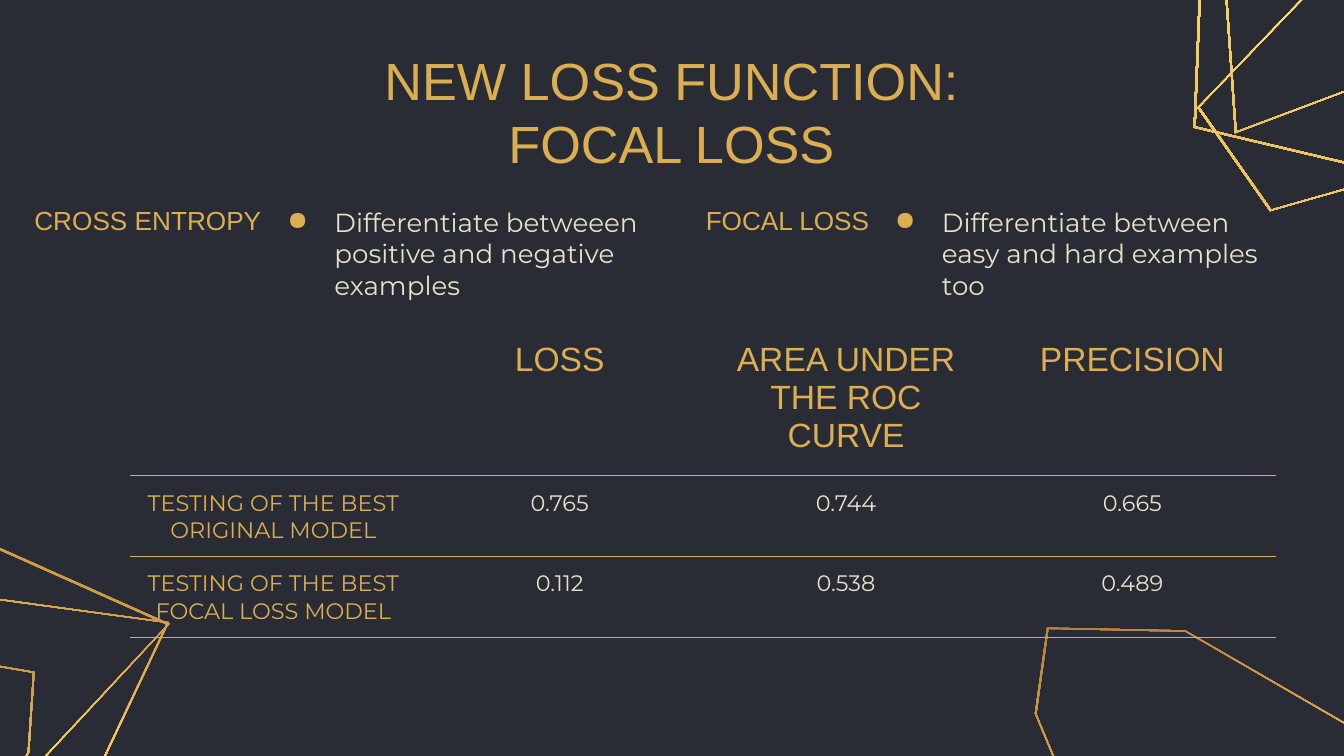
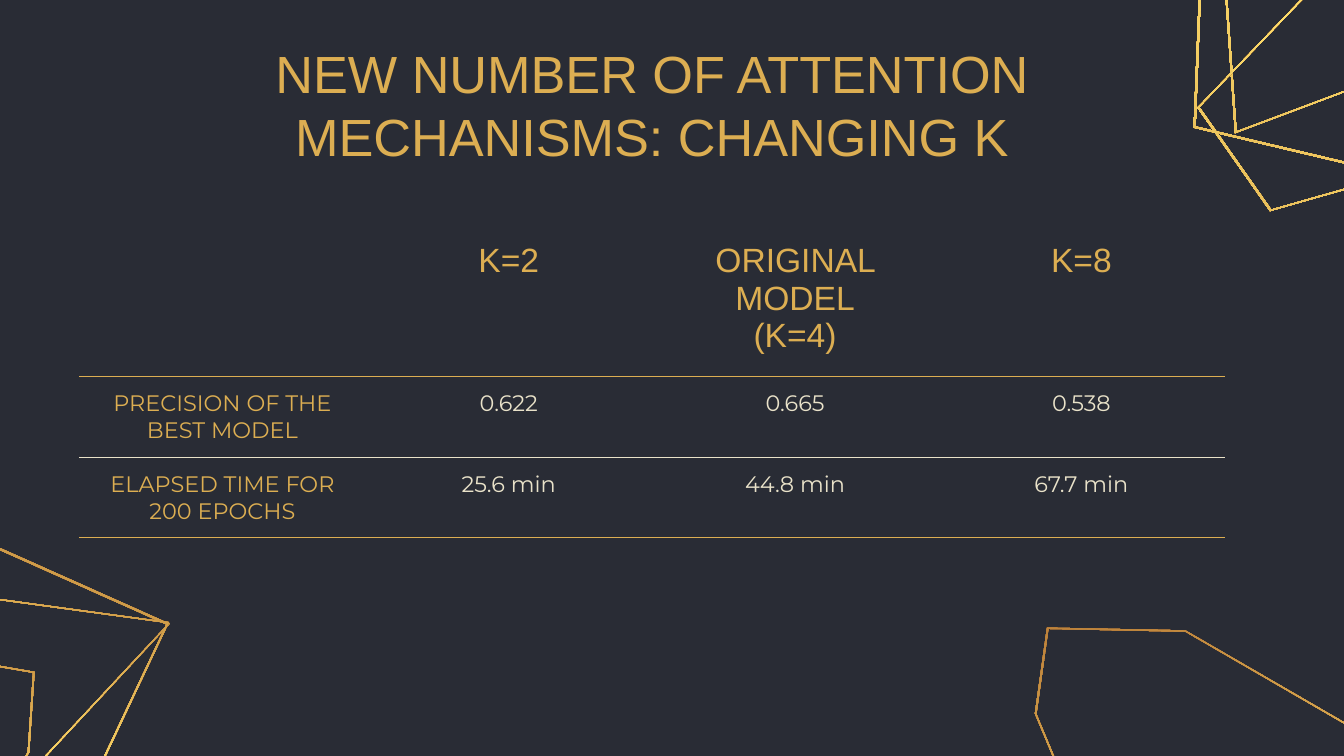
from copy import deepcopy
from math import cos, radians, sin

from pptx import Presentation
from pptx.dml.color import RGBColor
from pptx.enum.text import MSO_ANCHOR, PP_ALIGN
from pptx.oxml import parse_xml
from pptx.oxml.ns import nsdecls, qn
from pptx.util import Pt

NIGHT = RGBColor(0x29, 0x2C, 0x35)
GOLD = RGBColor(0xDC, 0xAE, 0x52)
CREAM = RGBColor(0xE9, 0xE2, 0xC9)
BRONZE = RGBColor(0xAF, 0x71, 0x32)
YELLOW = RGBColor(0xFF, 0xDD, 0x6B)

HEADING_FONT, BODY_FONT = "Arial", "Montserrat"
CENTER, LEFT = PP_ALIGN.CENTER, PP_ALIGN.LEFT
MIDDLE = MSO_ANCHOR.MIDDLE
INSET = Pt(7.2)
PLAIN_TABLE = "{2D5ABB26-0587-4C30-8999-92F81FD0307C}"
COLUMN_WIDTH = 153.4
ROW_HEIGHTS = (43.2, 43.2, 43.2, 21.6)
RING_SCALE = 0.99  # inner outline relative to the outer one

SHINY = (BRONZE, YELLOW, GOLD)
MATTE = (BRONZE, GOLD, GOLD)

# Thin corner polygons: centre, rotation, gradient, corners
POLYGONS = [
    ((725, -19.4), 25.2, SHINY,
     [(661.7, 71.3), (649.4, -104.4), (865.4, -74.2), (826.6, 9.4)]),
    ((-87.1, 415.1), 25.2, SHINY,
     [(-177.8, 476.6), (-172.1, 389.5), (-48.2, 348.5), (18.7, 360),
      (15.8, 403.2), (-56.9, 508.3)]),
    ((-31, 391), 25.2, SHINY,
     [(-103, 472.3), (-139, 418.3), (-9.4, 289.4), (90.7, 334.1), (-17.3, 450)]),
    ((-43.6, 385.6), 25.2, SHINY,
     [(-103, 472.3), (-115.2, 305.3), (90.7, 333.4), (53.3, 412.6)]),
    ((732.6, 1.4), 23.8, SHINY,
     [(639.4, 68.4), (643, -23), (771.1, -69.1), (841.7, -58.3),
      (839.5, -13.7), (766.8, 98.6)]),
    ((753.1, 27), 23.8, SHINY,
     [(680.4, 113), (641.5, 57.6), (773.3, -79.9), (878.4, -36), (769, 87.8)]),
    ((661.7, 418), 346.5, MATTE,
     [(745.2, 504), (758.2, 409), (635, 337.7), (560.9, 336.2),
      (554.4, 382.3), (608.4, 511.2)]),
]


class Deck:
    def __init__(self):
        self.deck = Presentation()
        self.deck.slide_width, self.deck.slide_height = Pt(720), Pt(405)
        self.page = None

    def add_page(self):
        self.page = self.deck.slides.add_slide(self.deck.slide_layouts[6])
        self.page.background.fill.solid()
        self.page.background.fill.fore_color.rgb = NIGHT
        for polygon in POLYGONS:
            self.ring(*polygon)

    def ring(self, center, turn, colors, corners):
        """Draw a thin polygon frame, laid out upright and then rotated."""
        cx, cy = center
        c, s = cos(radians(turn)), sin(radians(turn))
        upright = [(cx + (x - cx) * c + (y - cy) * s,
                    cy - (x - cx) * s + (y - cy) * c) for x, y in corners]
        mid_x, mid_y = (sum(axis) / len(upright) for axis in zip(*upright))
        inner = [(mid_x + (x - mid_x) * RING_SCALE,
                  mid_y + (y - mid_y) * RING_SCALE) for x, y in upright]
        outer, inner = ([(Pt(x), Pt(y)) for x, y in line] for line in (upright, inner))
        builder = self.page.shapes.build_freeform(*outer[0])
        builder.add_line_segments(outer[1:], close=True)
        builder.move_to(*inner[0])
        builder.add_line_segments(inner[1:], close=True)
        shape = builder.convert_to_shape()
        shape.rotation = turn
        shape.shadow.inherit = False
        shape.line.fill.background()

        # Three-stop gradient, running downwards
        shape.fill.gradient()
        shape.fill.gradient_angle = 270
        stop_list = shape._element.spPr.find(".//" + qn("a:gsLst"))
        stop_list.append(deepcopy(stop_list[0]))
        for index, (stop, color) in enumerate(zip(shape.fill.gradient_stops, colors)):
            stop.position = index / 2
            stop.color.rgb = color

    def style(self, para, size, font, color, align=CENTER):
        para.alignment = align
        para.font.size, para.font.name = Pt(size), font
        para.font.color.rgb = color

    def text(self, words, left, top, width, height, size,
             font=HEADING_FONT, color=GOLD, align=CENTER):
        box = self.page.shapes.add_textbox(Pt(left), Pt(top), Pt(width), Pt(height))
        frame = box.text_frame
        frame.word_wrap = True
        frame.vertical_anchor = MIDDLE
        frame.margin_left = frame.margin_right = INSET
        frame.margin_top = frame.margin_bottom = INSET
        para = frame.paragraphs[0]
        para.text = words
        self.style(para, size, font, color, align)
        return para

    def title(self, words, left, top, width):
        self.text(words, left, top, width, 33.8, 28)

    def label(self, words, left):
        self.text(words, left, 109.4, 204.5, 17.3, 14)

    def bullet(self, words, left, width):
        para = self.text(words, left, 91.4, width, 88.6, 14, BODY_FONT, CREAM, LEFT)
        props = para._p.get_or_add_pPr()
        props.set("marL", str(Pt(36)))
        props.set("indent", str(-Pt(25.2)))
        props.append(parse_xml(
            f'<a:buClr {nsdecls("a")}><a:srgbClr val="{GOLD}"/></a:buClr>'))
        props.append(parse_xml(f'<a:buChar {nsdecls("a")} char="●"/>'))

    def border(self, cell, side, color, width):
        cell._tc.get_or_add_tcPr().insert(0, parse_xml(
            f'<a:{side} {nsdecls("a")} w="{Pt(width)}"><a:solidFill>'
            f'<a:srgbClr val="{color}"/></a:solidFill></a:{side}>'))

    def table(self, rows, left, top, middle_color):
        columns = len(rows[0])
        frame = self.page.shapes.add_table(
            len(ROW_HEIGHTS), columns, Pt(left), Pt(top),
            Pt(COLUMN_WIDTH * columns), Pt(sum(ROW_HEIGHTS)))
        table = frame.table
        table.first_row = table.horz_banding = False
        table._tbl.tblPr.find(qn("a:tableStyleId")).text = PLAIN_TABLE
        for column in table.columns:
            column.width = Pt(COLUMN_WIDTH)
        # Each rule is set on both cells it divides
        rules = [(GOLD, 0.75), (middle_color, 0.5), (GOLD, 0.75)]
        for r, height in enumerate(ROW_HEIGHTS):
            table.rows[r].height = Pt(height)
            for c in range(columns):
                cell = table.cell(r, c)
                cell.fill.background()
                cell.margin_left = cell.margin_right = INSET
                cell.margin_top = cell.margin_bottom = INSET
                if r < len(rules):
                    self.border(cell, "lnB", *rules[r])
                if r > 0:
                    self.border(cell, "lnT", *rules[r - 1])
                if r < len(rows) and rows[r][c]:
                    cell.text = rows[r][c]
                    size, font = (12, BODY_FONT) if r else (18, HEADING_FONT)
                    color = CREAM if r and c else GOLD
                    for para in cell.text_frame.paragraphs:
                        self.style(para, size, font, color)


def main():
    show = Deck()

    # Focal loss
    show.add_page()
    show.bullet("Differentiate betweeen positive and negative examples", 136.1, 235.4)
    show.title("NEW LOSS FUNCTION: FOCAL LOSS", 157, 42.5, 405.4)
    show.label("CROSS ENTROPY", -23)
    show.label("FOCAL LOSS", 319.7)
    show.bullet("Differentiate between easy and hard examples too", 461.5, 221.8)
    show.table([
        ("", "LOSS", "AREA UNDER THE ROC CURVE", "PRECISION"),
        ("TESTING OF THE BEST ORIGINAL MODEL", "0.765", "0.744", "0.665"),
        ("TESTING OF THE BEST FOCAL LOSS MODEL", "0.112", "0.538", "0.489"),
    ], 69.8, 175.7, GOLD)

    # Attention mechanisms
    show.add_page()
    show.title("NEW NUMBER OF ATTENTION MECHANISMS: CHANGING K", 52.6, 38.9, 593.3)
    show.table([
        ("", "K=2", "ORIGINAL MODEL\n(K=4)", "K=8"),
        ("PRECISION OF THE BEST MODEL", "0.622", "0.665", "0.538"),
        ("ELAPSED TIME FOR 200 EPOCHS", "25.6 min", "44.8 min", "67.7 min"),
    ], 42.5, 122.4, CREAM)

    show.deck.save("out.pptx")


if __name__ == "__main__":
    main()
